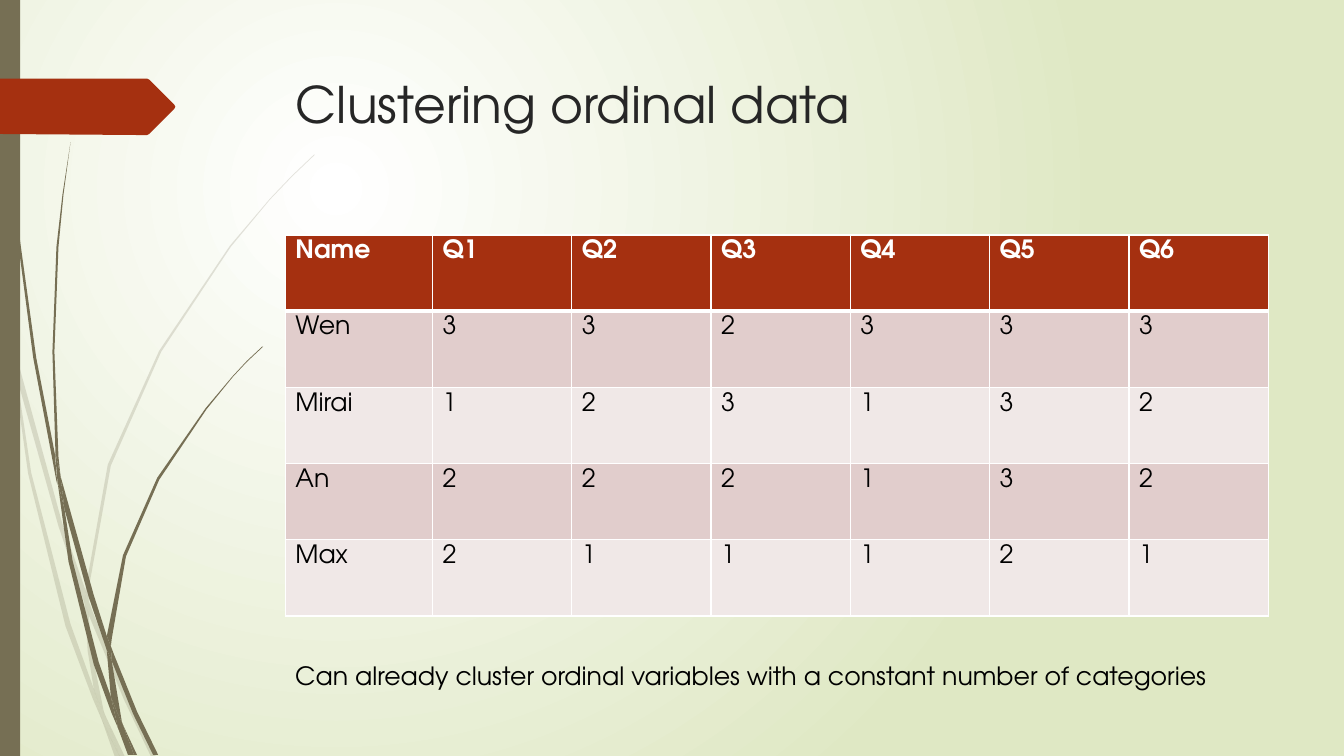
from lxml.etree import SubElement
from pptx import Presentation
from pptx.dml.color import RGBColor
from pptx.enum.shapes import MSO_SHAPE
from pptx.enum.text import MSO_ANCHOR
from pptx.oxml.ns import qn
from pptx.util import Cm, Pt

FONT = "TeX Gyre Adventor"
COLORS = {
    "white": "FFFFFF",
    "black": "000000",
    "title": "262626",
    "olive": "766F54",
    "rust": "A53010",
    "rose": "E1CDCC",
    "pale_rose": "F0E8E7",
    "pale_green": "DFE8C4",
}

# Outlines of the grass blades, in hundredths of an inch
PALE_GRASS = [
    [(11, 350), (9, 322), (0, 282), (0, 299), (10, 344)],
    [(58, 522), (84, 599), (85, 586), (62, 520), (14, 345), (17, 376)],
    [(92, 607), (88, 596), (88, 610), (123, 694), (150, 751), (155, 751), (127, 692)],
    [(119, 751), (124, 751), (105, 711)],
    [(93, 683), (70, 619), (31, 469), (17, 376), (11, 350), (28, 470),
     (65, 621), (92, 693), (101, 714), (99, 707)],
    [(84, 599), (87, 646), (93, 683), (96, 692), (105, 711), (103, 706),
     (91, 646), (88, 610), (88, 608)],
    [(88, 584), (110, 462), (160, 349), (229, 245), (268, 198), (290, 175),
     (312, 154), (312, 153), (289, 175), (268, 197), (228, 244), (158, 348),
     (107, 461), (85, 584), (85, 586), (88, 596)],
    [(101, 714), (114, 751), (119, 751)],
    [(88, 608), (88, 610), (88, 596), (85, 586), (84, 599)],
    [(96, 692), (93, 683), (99, 707), (101, 714), (119, 751), (105, 711)],
]
DARK_GRASS = [
    [(7, 110), (17, 233), (33, 355), (56, 477), (57, 481), (55, 457), (55, 453),
     (36, 355), (19, 232), (8, 109), (5, 48), (4, 0), (3, 0), (4, 48)],
    [(88, 592), (106, 645), (106, 633), (106, 631), (93, 590), (60, 472), (64, 505)],
    [(113, 649), (110, 641), (111, 656), (132, 708), (152, 749), (157, 749), (136, 706)],
    [(110, 691), (98, 657), (72, 556), (64, 505), (57, 477), (68, 557),
     (93, 659), (111, 708), (117, 722), (116, 717)],
    [(60, 472), (58, 453), (54, 349), (58, 245), (63, 193), (70, 141),
     (62, 193), (56, 245), (52, 349), (55, 449)],
    [(133, 749), (136, 749), (122, 719)],
    [(57, 477), (64, 505), (60, 472), (55, 449), (55, 453)],
    [(111, 633), (125, 552), (158, 476), (205, 406), (231, 374), (245, 359),
     (261, 344), (260, 344), (245, 358), (231, 373), (204, 405), (156, 474),
     (122, 551), (106, 631), (110, 641)],
    [(117, 722), (127, 749), (131, 749)],
    [(106, 645), (110, 691), (116, 706), (122, 719), (121, 716), (111, 656), (109, 651)],
    [(106, 645), (109, 651), (111, 656), (110, 641), (106, 631), (106, 633)],
    [(116, 706), (110, 691), (116, 717), (117, 722), (130, 749), (133, 749), (122, 719)],
]
ARROW = [(173, 108), (148, 133), (146, 134), (136, 134), (0, 133), (0, 78),
         (146, 78), (148, 79), (173, 104), (174, 106)]

TABLE_ROWS = [
    ["Name", "Q1", "Q2", "Q3", "Q4", "Q5", "Q6"],
    ["Wen", "3", "3", "2", "3", "3", "3"],
    ["Mirai", "1", "2", "3", "1", "3", "2"],
    ["An", "2", "2", "2", "1", "3", "2"],
    ["Max", "2", "1", "1", "1", "2", "1"],
]


def add_outline(shapes, points, color):
    """Add a filled closed outline given in hundredths of an inch."""
    builder = shapes.build_freeform(*points[0], scale=Cm(0.0254))
    builder.add_line_segments(points[1:], close=True)
    shape = builder.convert_to_shape()
    shape.shadow.inherit = False
    shape.fill.solid()
    shape.fill.fore_color.rgb = RGBColor.from_string(COLORS[color])
    shape.line.fill.background()
    return shape


def write_text(text_frame, text, size, color, bold=False):
    run = text_frame.paragraphs[0].add_run()
    run.text = text
    run.font.name = FONT
    run.font.size = Pt(size)
    run.font.bold = bold
    run.font.color.rgb = RGBColor.from_string(COLORS[color])


presentation = Presentation()
presentation.slide_width = Cm(33.87)
presentation.slide_height = Cm(19.05)
slide = presentation.slides.add_slide(presentation.slide_layouts[6])

# Background: a glow centred in the upper left quarter
background = slide.background.fill
background.gradient()
for stop, color in zip(background.gradient_stops, ("white", "pale_green")):
    stop.color.rgb = RGBColor.from_string(COLORS[color])
gradient = next(slide.element.iter(qn("a:gradFill")))
gradient.remove(gradient.find(qn("a:lin")))
glow = SubElement(gradient, qn("a:path"), path="circle")
SubElement(glow, qn("a:fillToRect"), l="50000", t="50000", r="100000", b="100000")

# Grass, side bar and arrow
for blades, opacity in ((PALE_GRASS, 20), (DARK_GRASS, 100)):
    grass = slide.shapes.add_group_shape()
    for blade in blades:
        shape = add_outline(grass.shapes, blade, "olive")
        if opacity < 100:
            fill_color = next(shape.element.iter(qn("a:srgbClr")))
            SubElement(fill_color, qn("a:alpha"), val=str(opacity * 1000))

side_bar = slide.shapes.add_shape(MSO_SHAPE.RECTANGLE, 0, 0, Cm(0.51), Cm(19.05))
side_bar.shadow.inherit = False
side_bar.fill.solid()
side_bar.fill.fore_color.rgb = RGBColor.from_string(COLORS["olive"])
side_bar.line.fill.background()

add_outline(slide.shapes, ARROW, "rust")

# Title and closing remark
for text, left, top, width, height, size, color in (
    ("Clustering ordinal data", 7.21, 1.73, 24.77, 3.56, 36, "title"),
    ("Can already cluster ordinal variables with a constant number of categories",
     7.19, 16.51, 24.43, 1.02, 18, "black"),
):
    box = slide.shapes.add_textbox(Cm(left), Cm(top), Cm(width), Cm(height))
    box.text_frame.word_wrap = True
    box.text_frame.vertical_anchor = MSO_ANCHOR.TOP
    write_text(box.text_frame, text, size, color)

# Table of answers
table = slide.shapes.add_table(
    len(TABLE_ROWS), len(TABLE_ROWS[0]), Cm(7.19), Cm(5.92), Cm(24.77), Cm(9.6)
).table
for index, column in enumerate(table.columns):
    column.width = Cm(3.71 if index == 0 else 3.51)
for row_index, values in enumerate(TABLE_ROWS):
    table.rows[row_index].height = Cm(1.92)
    is_header = row_index == 0
    fill = "rust" if is_header else ("pale_rose", "rose")[row_index % 2]
    border_widths = {
        "a:lnL": 1,
        "a:lnR": 1,
        "a:lnT": 3 if row_index == 1 else 1,
        "a:lnB": 3 if is_header else 1,
    }
    for column_index, value in enumerate(values):
        cell = table.cell(row_index, column_index)
        write_text(cell.text_frame, value, 18, "white" if is_header else "black", is_header)
        properties = cell._tc.get_or_add_tcPr()
        for tag, width in border_widths.items():
            border = SubElement(properties, qn(tag), w=str(Pt(width)))
            border_fill = SubElement(border, qn("a:solidFill"))
            SubElement(border_fill, qn("a:srgbClr"), val=COLORS["white"])
        cell.fill.solid()
        cell.fill.fore_color.rgb = RGBColor.from_string(COLORS[fill])

presentation.save("out.pptx")
